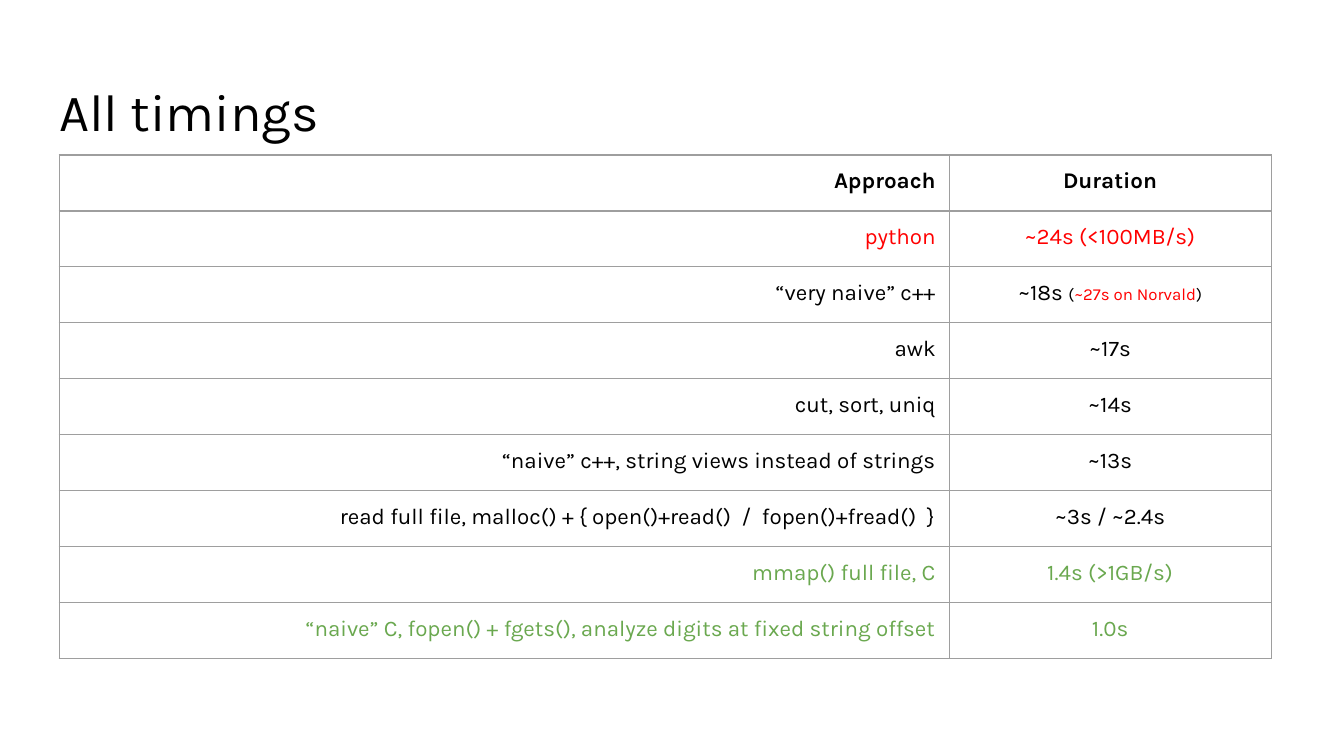
import pptx
import pptx.util
import pptx.dml.color
import pptx.enum.text
import pptx.oxml
import pptx.oxml.ns
from lxml import etree

Pt = pptx.util.Pt
ALIGN = pptx.enum.text.PP_ALIGN
ANCHOR = pptx.enum.text.MSO_ANCHOR
COLORS = {"black": "000000", "slow": "FF0000", "fast": "6AA84F", "grid": "9E9E9E"}

# Each row: approach, duration (text or list of styled parts), colour
TIMINGS = [
    ("python", "~24s (<100MB/s)", "slow"),
    ("“very naive” c++",
     [("~18s ", 12, "black"), ("(", 9, "black"),
      ("~27s on Norvald", 9, "slow"), (")", 9, "black")], "black"),
    ("awk", "~17s", "black"),
    ("cut, sort, uniq", "~14s", "black"),
    ("“naive” c++, string views instead of strings", "~13s", "black"),
    ("read full file, malloc() + { open()+read()  /  fopen()+fread()  }",
     "~3s / ~2.4s", "black"),
    ("mmap() full file, C", "1.4s (>1GB/s)", "fast"),
    ("“naive” C, fopen() + fgets(), analyze digits at fixed string offset",
     "1.0s", "fast"),
]


class Deck:
    font = "Karla"
    inset = 7.2

    def __init__(self, width, height):
        self.prs = pptx.Presentation()
        self.prs.slide_width, self.prs.slide_height = Pt(width), Pt(height)
        self.s = self.prs.slides.add_slide(self.prs.slide_layouts[5])

    def set_margins(self, box):
        box.margin_left = box.margin_right = Pt(self.inset)
        box.margin_top = box.margin_bottom = Pt(self.inset)

    def style(self, r, size, color, bold=False):
        r.font.name, r.font.size, r.font.bold = self.font, Pt(size), bold
        r.font.color.rgb = pptx.dml.color.RGBColor.from_string(COLORS[color])

    def title(self, text, left, top, width, height):
        sp = self.s.shapes.title
        sp.left, sp.top, sp.width, sp.height = map(Pt, (left, top, width, height))
        tf = sp.text_frame
        tf.text = text
        tf.word_wrap = True
        tf.auto_size = pptx.enum.text.MSO_AUTO_SIZE.NONE
        tf.vertical_anchor = ANCHOR.TOP
        self.set_margins(tf)
        p = tf.paragraphs[0]
        p.alignment = ALIGN.LEFT
        self.style(p.runs[0], 28, "black")

    def borders(self, cell):
        tc_pr = cell._tc.get_or_add_tcPr()
        for i, side in enumerate(("lnL", "lnR", "lnT", "lnB")):
            ln = pptx.oxml.parse_xml(
                f'<a:{side} {pptx.oxml.ns.nsdecls("a")} w="{Pt(0.75)}"><a:solidFill>'
                f'<a:srgbClr val="{COLORS["grid"]}"/></a:solidFill></a:{side}>')
            tc_pr.insert(i, ln)

    def cell(self, cell, content, align, color, bold):
        cell.fill.background()
        self.borders(cell)
        self.set_margins(cell)
        cell.vertical_anchor = ANCHOR.TOP
        p = cell.text_frame.paragraphs[0]
        p.alignment = align
        parts = [(content, 12, color)] if isinstance(content, str) else content
        for text, size, part_color in parts:
            r = p.add_run()
            r.text = text
            self.style(r, size, part_color, bold)

    def table(self, rows, left, top, widths, row_height):
        frame = self.s.shapes.add_table(len(rows), len(widths), Pt(left), Pt(top),
                                        Pt(sum(widths)), Pt(row_height * len(rows)))
        table = frame.table
        table.first_row = table.horz_banding = False
        for column, width in zip(table.columns, widths):
            column.width = Pt(width)
        for i, (approach, duration, color) in enumerate(rows):
            table.rows[i].height = Pt(row_height)
            for j, (content, align) in enumerate(
                    ((approach, ALIGN.RIGHT), (duration, ALIGN.CENTER))):
                self.cell(table.cell(i, j), content, align, color, bold=i == 0)


def main():
    deck = Deck(720, 405)
    # Heading
    deck.title("All timings", 24.5, 35, 671, 45)
    # Timings table with its header row
    header = ("Approach", "Duration", "black")
    deck.table([header] + TIMINGS, 31.75, 83, (476.75, 172.5), 30)
    deck.prs.save("out.pptx")


if __name__ == "__main__":
    main()
